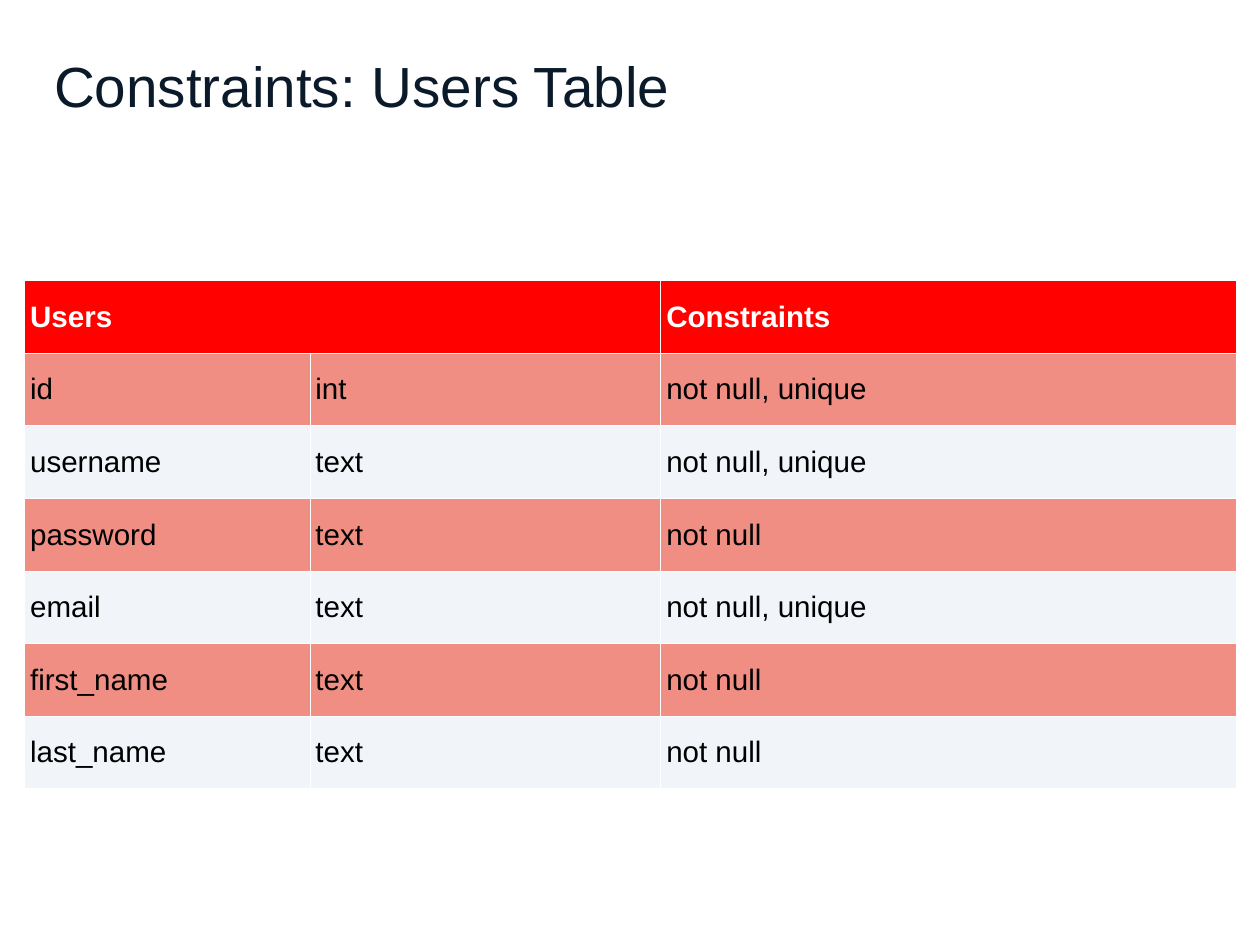
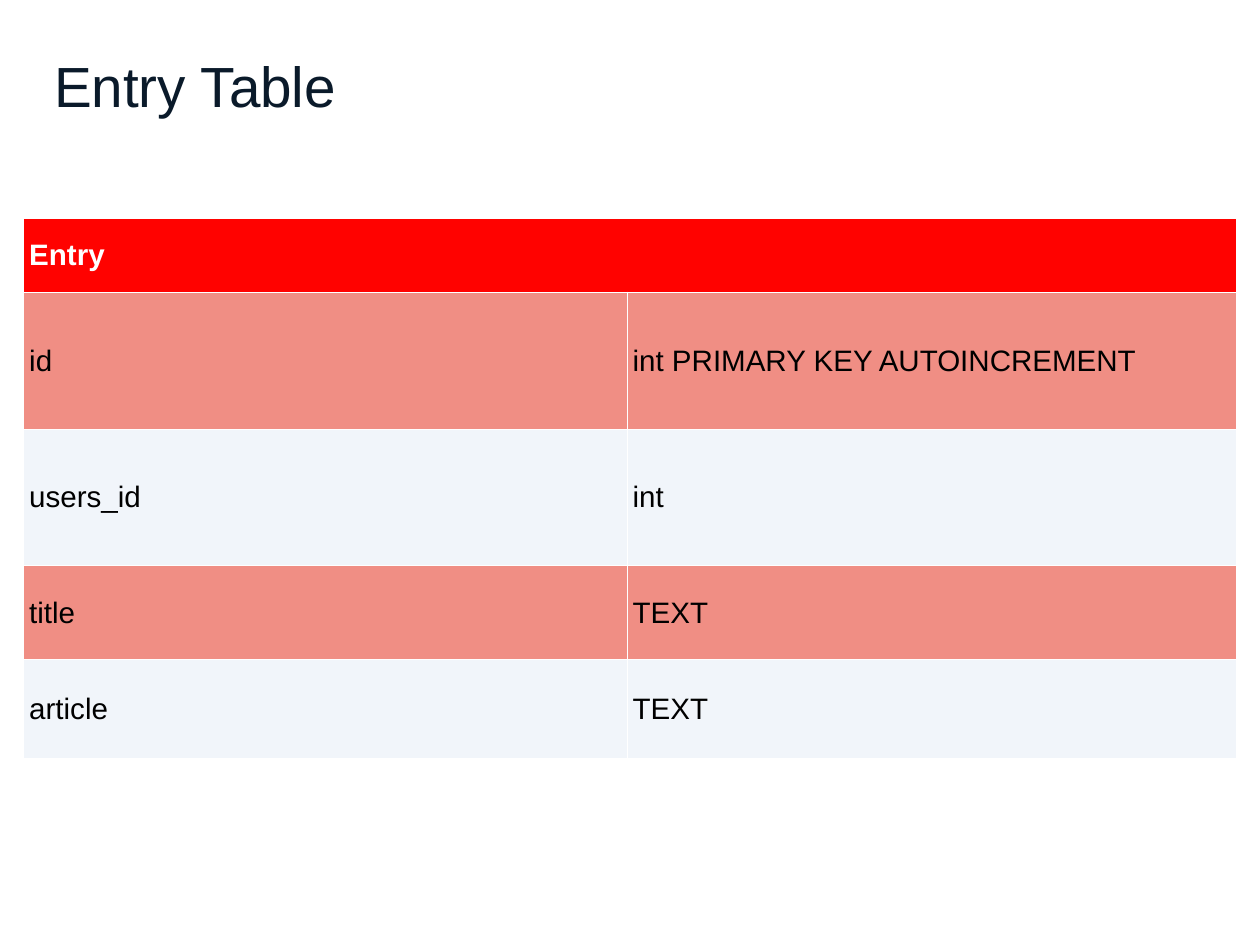
from pptx import Presentation
from pptx import util as u
from pptx.dml.color import RGBColor
from pptx.enum import text
from pptx.oxml import parse_xml
from pptx.oxml.ns import nsdecls

# Shared look
FONT = "Arial"
HUES = {"title": "0A1A2A", "head": "FF0200", "odd": "F08E84",
        "even": "F1F5FA", "white": "FFFFFF", "black": "000000"}

# Slide content: the first header cell spans two columns
decks = [
    {"title": "Constraints: Users Table", "at": (0.28, 3.17),
     "cols": [3.22, 3.96, 6.5], "rows": [0.82] * 7,
     "cells": [
         ["Users", "", "Constraints"],
         ["id", "int", "not null, unique"],
         ["username", "text", "not null, unique"],
         ["password", "text", "not null"],
         ["email", "text", "not null, unique"],
         ["first_name", "text", "not null"],
         ["last_name", "text", "not null"]]},
    {"title": "Entry Table", "at": (0.27, 2.47),
     "cols": [6.81, 6.87], "rows": [0.83, 1.55, 1.54, 1.06, 1.12],
     "cells": [
         ["Entry", ""],
         ["id", "int PRIMARY KEY AUTOINCREMENT"],
         ["users_id", "int"],
         ["title", "TEXT"],
         ["article", "TEXT"]]},
]


def write(frame, words, size=24, hue="black", bold=False, lead=None, above=0):
    par = frame.paragraphs[0]
    par.alignment = text.PP_ALIGN.LEFT
    par.line_spacing = lead
    par.space_before = u.Pt(above)
    run = par.add_run()
    run.text = words
    run.font.name = FONT
    run.font.size = u.Pt(size)
    run.font.bold = bold
    run.font.color.rgb = RGBColor.from_string(HUES[hue])


def dress(cell, hue):
    """Give a cell thin white borders, a fill and even margins."""
    props = cell._tc.get_or_add_tcPr()
    for side in "LRTB":
        props.append(parse_xml(
            f'<a:ln{side} {nsdecls("a")} w="12700"><a:solidFill>'
            f'<a:srgbClr val="{HUES["white"]}"/></a:solidFill></a:ln{side}>'))
    cell.fill.solid()
    cell.fill.fore_color.rgb = RGBColor.from_string(HUES[hue])
    cell.vertical_anchor = text.MSO_ANCHOR.MIDDLE
    cell.margin_left = cell.margin_right = u.Inches(0.06)
    cell.margin_top = cell.margin_bottom = u.Inches(0.06)


prs = Presentation()
prs.slide_width, prs.slide_height = u.Inches(14.22), u.Inches(10.67)

for deck in decks:
    slide = prs.slides.add_slide(prs.slide_layouts[5])

    # Title
    head = slide.shapes.title
    head.left, head.top = u.Inches(0.61), u.Inches(0)
    head.width, head.height = u.Inches(13), u.Inches(1.98)
    frame = head.text_frame
    frame.auto_size = text.MSO_AUTO_SIZE.NONE
    frame.vertical_anchor = text.MSO_ANCHOR.MIDDLE
    frame.margin_left = frame.margin_right = 0
    frame.margin_top = frame.margin_bottom = 0
    write(frame, deck["title"], size=46, hue="title", lead=0.95, above=16)

    # Table grid
    cols, rows = deck["cols"], deck["rows"]
    left, top = deck["at"]
    grid = slide.shapes.add_table(
        len(rows), len(cols), u.Inches(left), u.Inches(top),
        u.Inches(sum(cols)), u.Inches(sum(rows))).table
    for col, wide in zip(grid.columns, cols):
        col.width = u.Inches(wide)
    for row, high in zip(grid.rows, rows):
        row.height = u.Inches(high)
    grid.cell(0, 0).merge(grid.cell(0, 1))

    # Table cells
    for r, line in enumerate(deck["cells"]):
        band = "head" if r == 0 else "odd" if r % 2 else "even"
        for c, words in enumerate(line):
            cell = grid.cell(r, c)
            dress(cell, band)
            if words:
                write(cell.text_frame, words, bold=r == 0,
                      hue="black" if r else "white")

prs.save("out.pptx")
